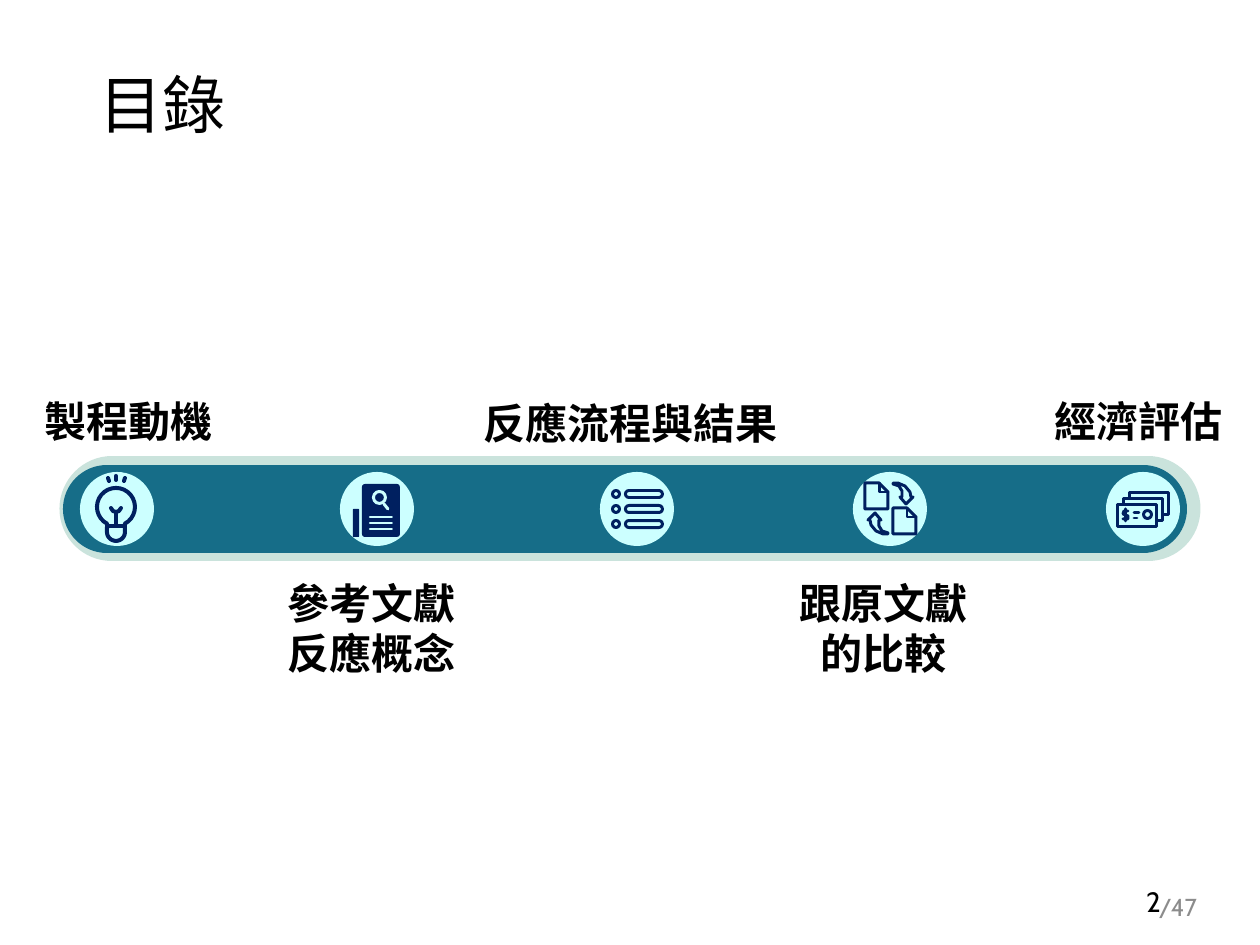
"""Build the contents slide: five topics with icons along a rounded bar."""
import math
import pptx
import pptx.util
import pptx.dml.color
import pptx.enum.shapes
import pptx.enum.text
import pptx.oxml
import pptx.oxml.ns

Kind = pptx.enum.shapes.MSO_SHAPE
Align = pptx.enum.text.PP_ALIGN
Anchor = pptx.enum.text.MSO_ANCHOR

PX = 914400 / 126
FONT = "Cabin"
COLORS = {"rim": "CAE3DC", "bar": "166D88", "disc": "CCFFFF",
          "navy": "002060", "black": "000000", "gray": "8C8C8C"}

TITLE = ("目錄", (87, 50, 1086, 116))
BARS = [("rim", 112, 1148, 105), ("bar", 107, 1143, 88)]
BAR_Y = 509
DISC = 74
DISC_Y = 472

TOPICS = [
    ("bulb", 80, ["製程動機"], (19, 389, 220, 63)),
    ("paper", 340, ["參考文獻", "反應概念"], (274, 571, 195, 115)),
    ("list", 600, ["反應流程與結果"], (469, 391, 323, 63)),
    ("swap", 853, ["跟原文獻", "的比較"], (786, 571, 195, 115)),
    ("money", 1106, ["經濟評估"], (1041, 389, 195, 63)),
]
PAGES = [("/47", (965, 882, 426, 50), 14, "gray", Align.CENTER),
         ("2", (890, 876, 283, 50), 16, "black", Align.RIGHT)]

SHEET = [(12, 11), (26, 11), (35, 20), (35, 37), (12, 37)]
FOLD = [(26, 11), (26, 20), (35, 20)]
ARROW = [(40, 11), (45, 11), (52, 14), (57, 20), (58, 25), (60, 25),
         (53, 32), (47, 25), (49, 25), (49, 19), (46, 14), (40, 12)]


def emu(n):
    return pptx.util.Emu(round(n * PX))


def rgb(name):
    return pptx.dml.color.RGBColor.from_string(COLORS[name])


def arc(x, y, r, start, end):
    steps = [math.radians(start + (end - start) * i / 24) for i in range(25)]
    return [(x + r * math.cos(a), y + r * math.sin(a)) for a in steps]


def shift(pts, dx, dy):
    return [(x + dx, y + dy) for x, y in pts]


ICONS = {
    "bulb": [
        ("loop", "navy", 4, arc(36, 35, 19, 118, 422) + arc(36, 60, 9, 0, 180)),
        ("path", "navy", 4, [(27, 54), (45, 54)]),
        ("path", "navy", 4, [(36, 40), (36, 53)]),
        ("path", "navy", 4, [(31, 36), (33, 39), (36, 40), (39, 39), (41, 36)]),
        ("path", "navy", 4, [(36, 4), (36, 8)]),
        ("path", "navy", 4, [(28, 6), (29, 9)]),
        ("path", "navy", 4, [(45, 6), (44, 9)]),
    ],
    "paper": [
        ("slab", "navy", 0, (22, 12, 38, 53)),
        ("slab", "navy", 0, (13, 37, 6, 28)),
        ("oval", "disc", 3, (32, 18, 15, 15)),
        ("path", "disc", 3, [(44, 32), (48, 37)]),
    ] + [("path", "disc", 2, [(30, y), (52, y)]) for y in (45, 51, 57)],
    "list": [mark for y in (17, 32, 47) for mark in (
        ("oval", "navy", 3, (11, y, 10, 10)),
        ("pill", "navy", 3, (24, y, 40, 10)))],
    "swap": [("loop", "navy", 3, shift(SHEET, *move))
             for move in ((0, 0), (28, 25))]
    + [("path", "navy", 3, shift(FOLD, *move)) for move in ((0, 0), (28, 25))]
    + [("loop", "navy", 3, ARROW),
       ("loop", "navy", 3, [(75 - x, 73 - y) for x, y in ARROW])],
    "money": [("card", "navy", 3, (10 + 6 * i, 31 - 6 * i, 42, 25))
              for i in (2, 1, 0)] + [
        ("oval", "navy", 3, (36, 37, 11, 11)),
        ("path", "navy", 3, [(22, 39), (18, 39), (17, 42), (22, 44),
                             (22, 47), (17, 47)]),
        ("path", "navy", 3, [(20, 37), (20, 49)]),
        ("path", "navy", 3, [(28, 41), (33, 41)]),
        ("path", "navy", 3, [(28, 46), (31, 46)]),
    ],
}
FORMS = {"oval": Kind.OVAL, "pill": Kind.ROUNDED_RECTANGLE,
         "slab": Kind.ROUNDED_RECTANGLE, "card": Kind.RECTANGLE}
ROUND = {"pill": 0.5, "slab": 0.08}


def stroke(item, color, wide):
    item.line.color.rgb = rgb(color)
    item.line.width = emu(wide)
    item.element.spPr.find(pptx.oxml.ns.qn("a:ln")).set("cap", "rnd")


def line(shapes, a, b, color, wide):
    item = shapes.add_connector(pptx.enum.shapes.MSO_CONNECTOR.STRAIGHT,
                                *map(emu, a + b))
    stroke(item, color, wide)
    item.element.spPr.append(pptx.oxml.parse_xml(
        "<a:effectLst %s/>" % pptx.oxml.ns.nsdecls("a")))


def trace(shapes, pts, color, wide, close):
    pts = [(emu(x), emu(y)) for x, y in pts]
    pen = shapes.build_freeform(*pts[0])
    pen.add_line_segments(pts[1:], close=close)
    item = pen.convert_to_shape()
    item.shadow.inherit = False
    item.fill.background()
    stroke(item, color, wide)


def block(shapes, kind, box, color, wide=0, fill=None):
    x, y, w, h = box
    item = shapes.add_shape(FORMS[kind], emu(x + wide / 2), emu(y + wide / 2),
                            emu(w - wide), emu(h - wide))
    item.shadow.inherit = False
    if kind in ROUND:
        item.adjustments[0] = ROUND[kind]
    if fill:
        item.fill.solid()
        item.fill.fore_color.rgb = rgb(fill)
    else:
        item.fill.background()
    if wide:
        stroke(item, color, wide)
    else:
        item.line.fill.background()


def icon(shapes, name, left):
    group = shapes.add_group_shape().shapes
    for kind, color, wide, data in ICONS[name]:
        if kind in FORMS:
            fill = {"slab": color, "card": "disc"}.get(kind)
            x, y, w, h = data
            block(group, kind, (x + left, y + DISC_Y, w, h), color, wide, fill)
            continue
        pts = shift(data, left, DISC_Y)
        if len(pts) == 2:
            line(group, *pts, color, wide)
        else:
            trace(group, pts, color, wide, kind == "loop")


def write(frame, rows, size, color, align, bold=False):
    for i, words in enumerate(rows):
        para = frame.paragraphs[0] if i == 0 else frame.add_paragraph()
        para.alignment = align
        run = para.add_run()
        run.text = words
        run.font.name = FONT
        run.font.size = pptx.util.Pt(size)
        run.font.bold = bold
        run.font.color.rgb = rgb(color)


def label(shapes, box, rows, size, color, align, bold=False, wrap=True):
    frame = shapes.add_textbox(*map(emu, box)).text_frame
    frame.word_wrap = wrap
    frame.vertical_anchor = Anchor.TOP if bold else Anchor.MIDDLE
    write(frame, rows, size, color, align, bold)


def main():
    deck = pptx.Presentation()
    deck.slide_width, deck.slide_height = emu(1260), emu(945)
    slide = deck.slides.add_slide(deck.slide_layouts[5])
    shapes = slide.shapes

    words, box = TITLE
    title = shapes.title
    title.left, title.top, title.width, title.height = map(emu, box)
    title.text_frame.vertical_anchor = Anchor.MIDDLE
    write(title.text_frame, [words], 36, "black", Align.LEFT)
    title.text_frame.paragraphs[0].line_spacing = 0.9

    for color, start, end, wide in BARS:
        line(shapes, (start, BAR_Y), (end, BAR_Y), color, wide)
    for name, left, rows, box in TOPICS:
        block(shapes, "oval", (left, DISC_Y, DISC, DISC), "disc", fill="disc")
        icon(shapes, name, left)
        label(shapes, box, rows, 24, "black", Align.CENTER, True, name == "bulb")
    for words, box, size, color, align in PAGES:
        label(shapes, box, [words], size, color, align)
    deck.save("out.pptx")


if __name__ == "__main__":
    main()
